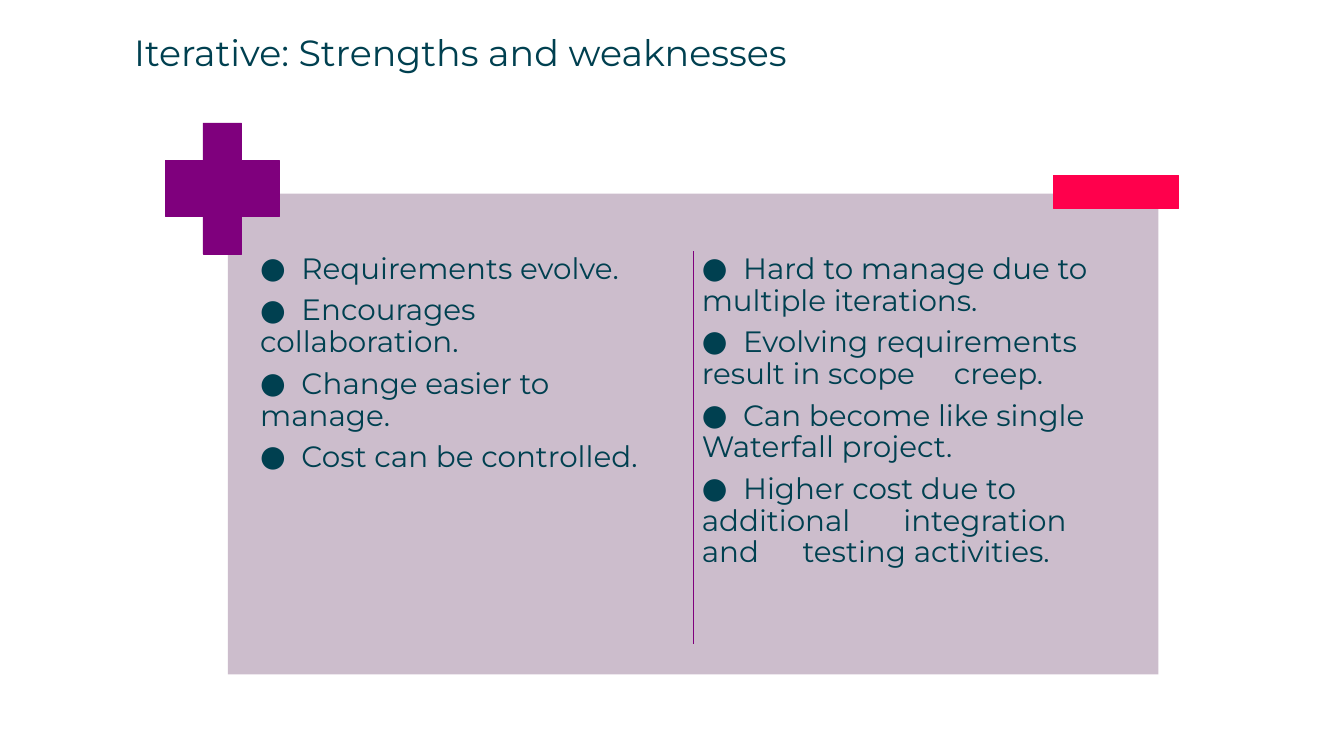
import pptx
import pptx.util
import pptx.dml.color
import pptx.enum.shapes
import pptx.enum.text
import pptx.oxml
import pptx.oxml.ns

Inches = pptx.util.Inches
Pt = pptx.util.Pt
MSO_SHAPE = pptx.enum.shapes.MSO_SHAPE

FONT = "Montserrat"
INK = "004050"
PANEL = "CCBDCC"
PURPLE = "7F007D"
RED = "FF004C"

STRENGTHS = [
    "Requirements evolve.",
    "Encourages \tcollaboration.",
    "Change easier to \tmanage.",
    "Cost can be controlled.",
]
WEAKNESSES = [
    "Hard to manage due to \tmultiple iterations.",
    "Evolving requirements \tresult in scope \tcreep.",
    "Can become like single \tWaterfall project.",
    "Higher cost due to \tadditional \tintegration and \ttesting activities.",
]


def rgb(color):
    return pptx.dml.color.RGBColor.from_string(color)


def place(sp, x, y, w, h):
    sp.left, sp.top, sp.width, sp.height = map(Inches, (x, y, w, h))


def set_frame(tf, inset):
    tf.word_wrap = True
    tf.auto_size = pptx.enum.text.MSO_AUTO_SIZE.NONE
    tf.vertical_anchor = pptx.enum.text.MSO_ANCHOR.TOP
    tf.margin_left = tf.margin_right = Inches(inset)
    tf.margin_top = tf.margin_bottom = Inches(inset)


def format_runs(p, size):
    p.alignment = pptx.enum.text.PP_ALIGN.LEFT
    for r in p.runs:
        r.font.name = FONT
        r.font.size = Pt(size)
        r.font.color.rgb = rgb(INK)


def add_title(slide, text):
    sp = slide.shapes.title
    place(sp, 1.33, 0.3, 11.59, 0.67)
    set_frame(sp.text_frame, 0)
    sp.text_frame.text = text
    format_runs(sp.text_frame.paragraphs[0], 26)


def add_bullet(p, gap):
    pPr = p._p.get_or_add_pPr()
    pPr.set("marL", "0")
    pPr.set("indent", "0")
    ns = pptx.oxml.ns.nsdecls("a")
    for xml in (
        f'<a:buFont {ns} typeface="{FONT}"/>',
        f'<a:buChar {ns} char="●"/>',
        f'<a:tabLst {ns}><a:tab pos="{Inches(gap)}" algn="l"/></a:tabLst>',
    ):
        pPr.append(pptx.oxml.parse_xml(xml))


def add_list(sp, x, items):
    place(sp, x, 2.48, 4.29, 4.08)
    tf = sp.text_frame
    set_frame(tf, 0.04)
    for i, item in enumerate(items):
        p = tf.paragraphs[0] if i == 0 else tf.add_paragraph()
        p.text = "\t" + item
        add_bullet(p, 0.41)
        p.line_spacing = 0.9
        p.space_before = Pt(0)
        p.space_after = Pt(7)
        format_runs(p, 21)


def add_block(slide, kind, x, y, w, h, fill, outlined=True):
    sp = slide.shapes.add_shape(kind, *map(Inches, (x, y, w, h)))
    sp.shadow.inherit = False
    sp.fill.solid()
    sp.fill.fore_color.rgb = rgb(fill)
    if outlined:
        sp.line.color.rgb = rgb(fill)
        sp.line.width = Pt(0.5)
    else:
        sp.line.fill.background()
    return sp


def add_divider(slide, x, top, bottom):
    line = slide.shapes.add_connector(
        pptx.enum.shapes.MSO_CONNECTOR.STRAIGHT,
        Inches(x), Inches(top), Inches(x), Inches(bottom))
    line.line.color.rgb = rgb(PURPLE)
    line.line.width = Pt(1)
    ns = pptx.oxml.ns.nsdecls("a")
    line._element.spPr.append(pptx.oxml.parse_xml(f"<a:effectLst {ns}/>"))


def main():
    prs = pptx.Presentation()
    prs.slide_width = Inches(13.33)
    prs.slide_height = Inches(7.5)
    slide = prs.slides.add_slide(prs.slide_layouts.get_by_name("Two Content"))

    add_title(slide, "Iterative: Strengths and weaknesses")
    panel = add_block(slide, MSO_SHAPE.RECTANGLE, 2.26, 1.92, 9.23, 4.77,
                      PANEL, outlined=False)
    slide.shapes.title._element.addnext(panel._element)

    add_list(slide.placeholders[1], 2.54, STRENGTHS)
    add_list(slide.placeholders[2], 6.92, WEAKNESSES)

    plus = add_block(slide, MSO_SHAPE.CROSS, 1.64, 1.22, 1.13, 1.3, PURPLE)
    plus.adjustments[0] = 0.33
    add_block(slide, MSO_SHAPE.RECTANGLE, 10.45, 1.74, 1.24, 0.33, RED)
    add_divider(slide, 6.88, 2.49, 6.39)

    prs.save("out.pptx")


if __name__ == "__main__":
    main()
